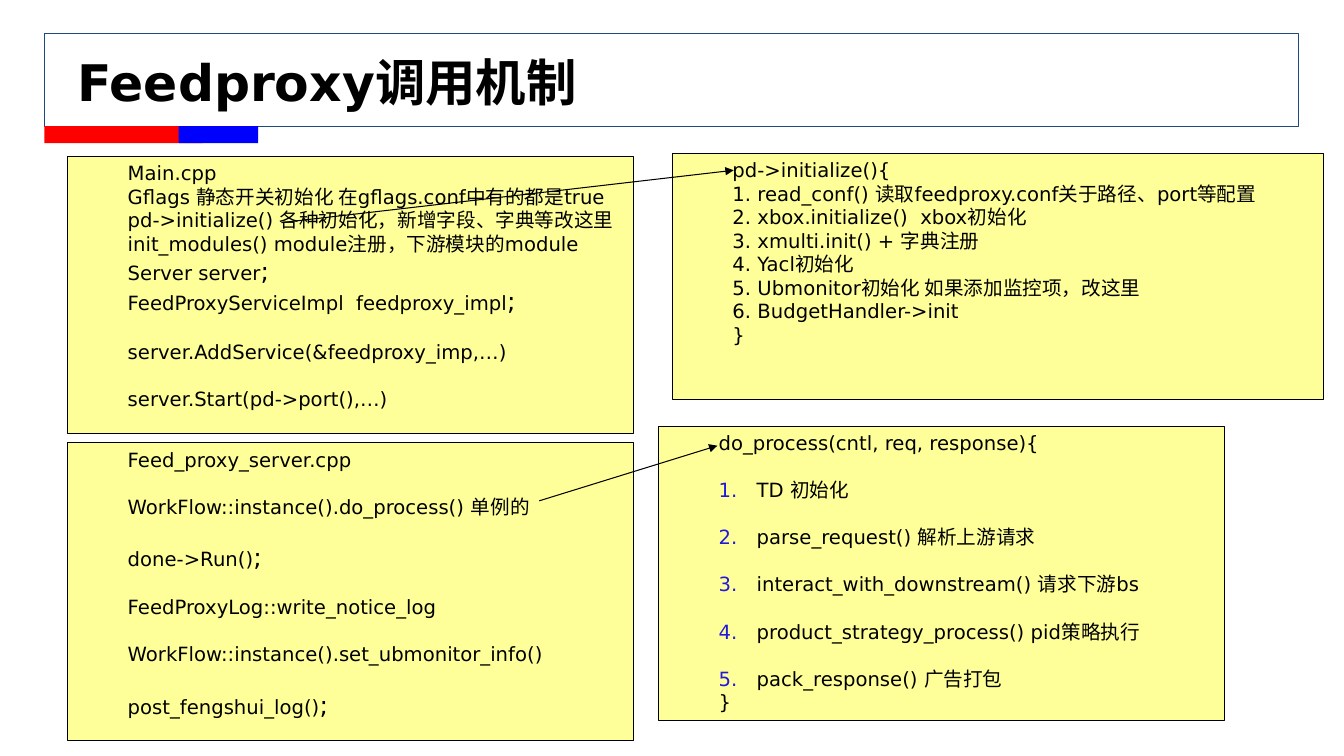
"""Build the slide on the Feedproxy call flow."""
from dataclasses import dataclass

from lxml import etree
from pptx import Presentation
from pptx import util as u
from pptx.dml.color import RGBColor
from pptx.enum import shapes, text
from pptx.oxml import ns

BLACK = RGBColor(0x00, 0x00, 0x00)
NAVY = RGBColor(0x1F, 0x49, 0x7D)
RED = RGBColor(0xFF, 0x00, 0x00)
BLUE = RGBColor(0x00, 0x00, 0xFF)
CREAM = RGBColor(0xFF, 0xFF, 0x99)
VIOLET = RGBColor(0x23, 0x18, 0xDE)
FONT = "DejaVu Sans"
BODY, MARK, GAP = u.Pt(14), u.Pt(18), u.Pt(16.8)


@dataclass
class Row:
    text: str
    gap: bool = False
    num: bool = False


@dataclass
class Rect:
    left: float
    top: float
    width: float
    height: float
    fill: RGBColor | None = None
    line: RGBColor | None = None
    rows: tuple[Row, ...] = ()


@dataclass
class Arrow:
    x1: float
    y1: float
    x2: float
    y2: float


RECTS = (
    Rect(1.12, 0.84, 31.6, 2.34, line=NAVY),
    Rect(1.12, 3.18, 3.99, 0.43, fill=RED),
    Rect(4.5, 3.18, 2.01, 0.43, fill=BLUE),
    Rect(1.7, 3.94, 14.27, 6.98, CREAM, BLACK, (
        Row("Main.cpp"),
        Row("Gflags 静态开关初始化 在gflags.conf中有的都是true"),
        Row("pd->initialize() 各种初始化，新增字段、字典等改这里"),
        Row("init_modules() module注册，下游模块的module"),
        Row("Server server;"),
        Row("FeedProxyServiceImpl  feedproxy_impl;"),
        Row("server.AddService(&feedproxy_imp,…)", gap=True),
        Row("server.Start(pd->port(),…)", gap=True),
    )),
    Rect(1.7, 11.15, 14.27, 7.52, CREAM, BLACK, (
        Row("Feed_proxy_server.cpp"),
        Row("WorkFlow::instance().do_process() 单例的", gap=True),
        Row("done->Run();", gap=True),
        Row("FeedProxyLog::write_notice_log", gap=True),
        Row("WorkFlow::instance().set_ubmonitor_info()", gap=True),
        Row("post_fengshui_log();", gap=True),
    )),
    Rect(16.59, 10.74, 14.27, 7.42, CREAM, BLACK, (
        Row("do_process(cntl, req, response){"),
        Row("TD 初始化", gap=True, num=True),
        Row("parse_request() 解析上游请求", gap=True, num=True),
        Row("interact_with_downstream() 请求下游bs", gap=True, num=True),
        Row("product_strategy_process() pid策略执行", gap=True, num=True),
        Row("pack_response() 广告打包", gap=True, num=True),
        Row("}"),
    )),
    Rect(16.94, 3.86, 16.41, 6.22, CREAM, BLACK, (
        Row("pd->initialize(){"),
        Row("1. read_conf() 读取feedproxy.conf关于路径、port等配置"),
        Row("2. xbox.initialize()  xbox初始化"),
        Row("3. xmulti.init() + 字典注册"),
        Row("4. Yacl初始化"),
        Row("5. Ubmonitor初始化 如果添加监控项，改这里"),
        Row("6. BudgetHandler->init"),
        Row("}"),
    )),
)
ARROWS = (Arrow(13.59, 12.62, 18.08, 11.23), Arrow(7.09, 5.61, 18.49, 4.29))


def style(run, size: int, bold: bool = False) -> None:
    """Set the font of a run."""
    run.font.name, run.font.size, run.font.bold = FONT, size, bold
    run.font.color.rgb = BLACK


def number(props) -> None:
    """Give a paragraph a coloured automatic number."""
    tint = etree.SubElement(props, ns.qn("a:buClr"))
    etree.SubElement(tint, ns.qn("a:srgbClr"), val=str(VIOLET))
    etree.SubElement(props, ns.qn("a:buFont"), typeface=FONT)
    etree.SubElement(props, ns.qn("a:buAutoNum"), type="arabicPeriod")


def write(para, row: Row) -> None:
    """Fill one paragraph, with a larger closing semicolon."""
    para.text = row.text.removesuffix(";")
    style(para.runs[0], BODY)
    if row.text.endswith(";"):
        mark = para.add_run()
        mark.text = ";"
        style(mark, MARK)
    para.alignment = text.PP_ALIGN.LEFT
    if row.gap:
        para.space_before = GAP
    props = para._p.get_or_add_pPr()
    props.set("marL", str(u.Cm(2.23 if row.num else 1.27)))
    props.set("indent", str(u.Cm(-0.96 if row.num else 0)))
    if row.num:
        number(props)


def draw_rect(slide, rect: Rect) -> None:
    """Draw a rectangle and its rows of text."""
    place = map(u.Cm, (rect.left, rect.top, rect.width, rect.height))
    shape = slide.shapes.add_shape(shapes.MSO_SHAPE.RECTANGLE, *place)
    shape.shadow.inherit = False
    if rect.fill is None:
        shape.fill.background()
    else:
        shape.fill.solid()
        shape.fill.fore_color.rgb = rect.fill
    if rect.line is None:
        shape.line.fill.background()
    else:
        shape.line.color.rgb = rect.line
        shape.line.width = u.Pt(0.75)
    frame = shape.text_frame
    frame.word_wrap = True
    frame.margin_right = 0
    frame.vertical_anchor = text.MSO_ANCHOR.TOP
    for pos, row in enumerate(rect.rows):
        write(frame.add_paragraph() if pos else frame.paragraphs[0], row)


def draw_arrow(slide, arrow: Arrow) -> None:
    """Draw a thin line with a triangle at its end."""
    ends = map(u.Cm, (arrow.x1, arrow.y1, arrow.x2, arrow.y2))
    line = slide.shapes.add_connector(shapes.MSO_CONNECTOR.STRAIGHT, *ends)
    line.line.color.rgb = BLACK
    line.line.width = u.Pt(0.75)
    etree.SubElement(line.line._get_or_add_ln(), ns.qn("a:tailEnd"), type="triangle")
    etree.SubElement(line._element.spPr, ns.qn("a:effectLst"))


def draw_title(slide) -> None:
    """Write the slide title."""
    box = slide.shapes.add_textbox(*map(u.Cm, (1.7, 0.97, 30.48, 2.16)))
    frame = box.text_frame
    frame.word_wrap = True
    frame.vertical_anchor = text.MSO_ANCHOR.MIDDLE
    frame.text = "Feedproxy调用机制"
    style(frame.paragraphs[0].runs[0], u.Pt(36), bold=True)


def main() -> None:
    """Build and save the deck."""
    deck = Presentation()
    deck.slide_width, deck.slide_height = u.Cm(33.87), u.Cm(19.05)
    slide = deck.slides.add_slide(deck.slide_layouts[6])
    for rect in RECTS:
        draw_rect(slide, rect)
    draw_title(slide)
    for arrow in ARROWS:
        draw_arrow(slide, arrow)
    deck.save("out.pptx")


if __name__ == "__main__":
    main()
